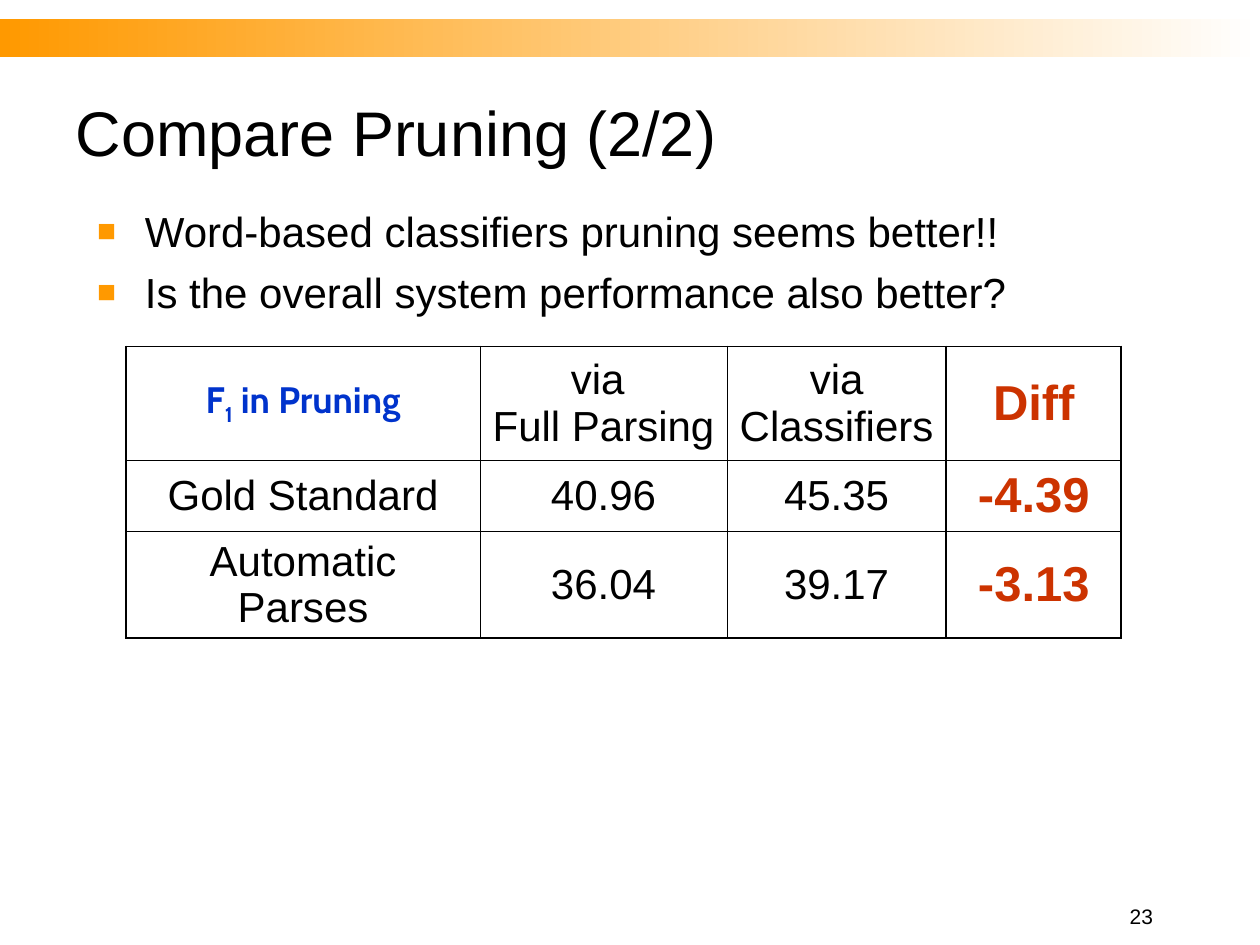
from lxml.etree import SubElement
from pptx import Presentation
from pptx.dml.color import RGBColor
from pptx.enum.shapes import MSO_SHAPE as Shape
from pptx.enum.text import MSO_ANCHOR as Anchor, MSO_AUTO_SIZE as AutoSize, PP_ALIGN as Align
from pptx.oxml import parse_xml
from pptx.oxml.ns import nsdecls, qn
from pptx.util import Inches, Pt

BLACK, WHITE, ORANGE, BLUE, RED = "000000", "FFFFFF", "FF9900", "0033CC", "CC3300"
THIN, OUTER, DIVIDER = 0.45, 1.08, 1.47
COLUMN_WIDTHS = [2.81, 1.96, 1.74, 1.39]
ROW_HEIGHTS = [0.9, 0.57, 0.57]
ROWS = [
    ["", "via \nFull Parsing", "via\nClassifiers", "Diff"],
    ["Gold Standard", "40.96", "45.35", "-4.39"],
    ["Automatic Parses", "36.04", "39.17", "-3.13"],
]


def rgb(color):
    return RGBColor.from_string(color)


def write(paragraph, text, size=24, color=BLACK, font="Arial", bold=False,
          align=Align.LEFT, before=0, baseline=None):
    """Append text to the paragraph, with line feeds as line breaks."""
    paragraph.alignment = align
    paragraph.space_before = Pt(before)
    for index, line in enumerate(text.split("\n")):
        if index:
            paragraph.add_line_break()
        run = paragraph.add_run()
        run.text = line
        run.font.name, run.font.size, run.font.bold = font, Pt(size), bold
        run.font.color.rgb = rgb(color)
        if baseline:
            run.font._element.set("baseline", str(baseline * 1000))


def place(shape, left, top, width, height, anchor):
    shape.left, shape.top = Inches(left), Inches(top)
    shape.width, shape.height = Inches(width), Inches(height)
    frame = shape.text_frame
    frame.word_wrap = True
    frame.auto_size = AutoSize.NONE
    frame.vertical_anchor = anchor
    return frame


def add_square_bullet(paragraph):
    properties = paragraph._p.get_or_add_pPr()
    properties.set("marL", str(Inches(0.38)))
    properties.set("indent", str(-Inches(0.38)))
    color = SubElement(properties, qn("a:buClr"))
    SubElement(color, qn("a:srgbClr"), val=ORANGE)
    SubElement(properties, qn("a:buSzPct"), val="75000")
    SubElement(properties, qn("a:buFont"), typeface="Arial")
    SubElement(properties, qn("a:buChar"), char="■")


def add_band(slide, slide_width):
    band = slide.shapes.add_shape(Shape.RECTANGLE, 0, Inches(0.15), slide_width, Inches(0.3))
    band.shadow.inherit = False
    band.line.fill.background()
    band.fill.gradient()
    band.fill.gradient_angle = 180
    for stop, color in zip(band.fill.gradient_stops, (WHITE, ORANGE)):
        stop.color.rgb = rgb(color)


def set_borders(cell, left, right, top, bottom):
    properties = cell._tc.get_or_add_tcPr()
    for index, (side, width) in enumerate(zip("LRTB", (left, right, top, bottom))):
        properties.insert(index, parse_xml(
            f'<a:ln{side} {nsdecls("a")} w="{Pt(width)}"><a:solidFill>'
            f'<a:srgbClr val="{BLACK}"/></a:solidFill></a:ln{side}>'))


def add_results_table(slide):
    row_count, column_count = len(ROWS), len(COLUMN_WIDTHS)
    table = slide.shapes.add_table(
        row_count, column_count, Inches(1), Inches(2.75),
        Inches(sum(COLUMN_WIDTHS)), Inches(sum(ROW_HEIGHTS))).table
    table.first_row = table.horz_banding = False
    for column, width in zip(table.columns, COLUMN_WIDTHS):
        column.width = Inches(width)
    for row, height in zip(table.rows, ROW_HEIGHTS):
        row.height = Inches(height)

    vertical = [OUTER] + [THIN] * (column_count - 2) + [DIVIDER, OUTER]
    horizontal = [OUTER] + [THIN] * (row_count - 1) + [OUTER]
    # The first edge list runs left to right, the second top to bottom.
    vertical = vertical[:1] + vertical[2:] if len(vertical) > column_count + 1 else vertical
    for row, texts in enumerate(ROWS):
        for column, text in enumerate(texts):
            cell = table.cell(row, column)
            cell.fill.background()
            cell.vertical_anchor = Anchor.MIDDLE
            set_borders(cell, *vertical[column:column + 2], *horizontal[row:row + 2])
            paragraph = cell.text_frame.paragraphs[0]
            if column == column_count - 1:
                write(paragraph, text, size=28, color=RED, bold=True, align=Align.CENTER, before=7)
            elif text:
                write(paragraph, text, align=Align.CENTER, before=6)

    corner = table.cell(0, 0).text_frame.paragraphs[0]
    for text, baseline in (("F", None), ("1", -25), (" in Pruning", None)):
        write(corner, text, size=21, color=BLUE, font="Cabin", bold=True,
              align=Align.CENTER, before=5.2, baseline=baseline)


def main():
    presentation = Presentation()
    presentation.slide_width, presentation.slide_height = Inches(10), Inches(7.5)
    slide = presentation.slides.add_slide(presentation.slide_layouts[1])
    add_band(slide, presentation.slide_width)

    title = place(slide.shapes.title, 0.5, 0.5, 9, 1.08, Anchor.MIDDLE)
    write(title.paragraphs[0], "Compare Pruning (2/2)", size=36)

    body = place(slide.placeholders[1], 0.67, 1.58, 9, 1, Anchor.TOP)
    points = ["Word-based classifiers pruning seems better!!",
              "Is the overall system performance also better?"]
    for index, point in enumerate(points):
        paragraph = body.add_paragraph() if index else body.paragraphs[0]
        write(paragraph, point, before=6)
        add_square_bullet(paragraph)

    add_results_table(slide)

    number = place(slide.shapes.add_textbox(0, 0, 0, 0), 8.25, 7.17, 1, 0.25, Anchor.BOTTOM)
    write(number.paragraphs[0], "23", size=12, align=Align.RIGHT)
    presentation.save("out.pptx")


if __name__ == "__main__":
    main()
